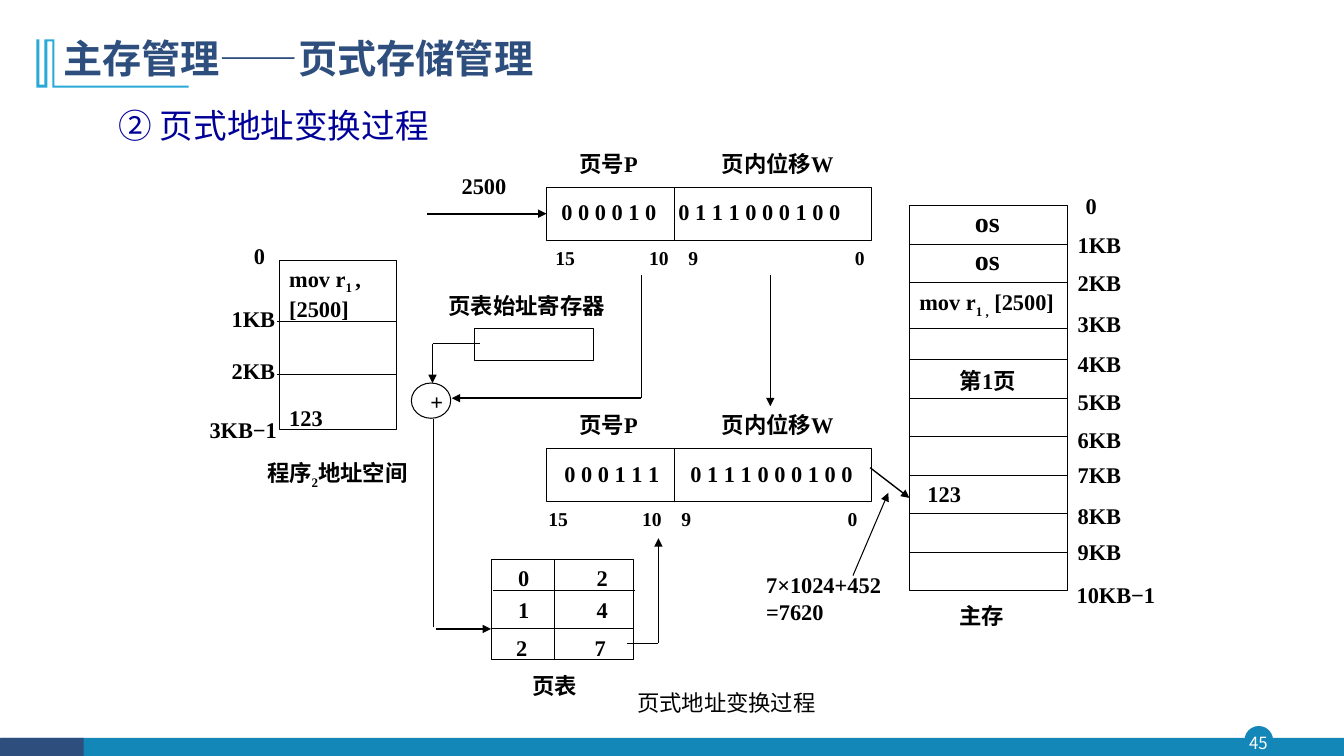
from pptx import Presentation
from pptx.dml.color import RGBColor
from pptx.enum.shapes import MSO_CONNECTOR, MSO_SHAPE
from pptx.enum.text import MSO_ANCHOR, PP_ALIGN
from pptx.oxml.ns import qn
from pptx.util import Inches, Pt
from lxml import etree

RECT, OVAL = MSO_SHAPE.RECTANGLE, MSO_SHAPE.OVAL
STRAIGHT = MSO_CONNECTOR.STRAIGHT
LEFT, CENTER = PP_ALIGN.LEFT, PP_ALIGN.CENTER
TOP, MIDDLE = MSO_ANCHOR.TOP, MSO_ANCHOR.MIDDLE
SANS, SERIF = "Noto Sans CJK SC", "Times New Roman"
BLACK, TEAL, NAVY = "000000", "1387B7", "2E4E7E"


def color(value):
    return RGBColor.from_string(value)


def add_box(s, x, y, w, h, kind=RECT, fill=None, line=BLACK, width=0.75):
    sp = s.shapes.add_shape(kind, Inches(x), Inches(y), Inches(w), Inches(h))
    sp.shadow.inherit = False
    if fill:
        sp.fill.solid()
        sp.fill.fore_color.rgb = color(fill)
    else:
        sp.fill.background()
    if line:
        sp.line.color.rgb = color(line)
        sp.line.width = Pt(width)
    else:
        sp.line.fill.background()
    return sp


def add_line(s, x1, y1, x2, y2, width=0.75, arrow=False):
    sp = s.shapes.add_connector(STRAIGHT, Inches(x1), Inches(y1), Inches(x2), Inches(y2))
    sp.line.color.rgb = color(BLACK)
    sp.line.width = Pt(width)
    if arrow:
        etree.SubElement(sp.line._get_or_add_ln(), qn("a:tailEnd"), type="triangle")
    etree.SubElement(sp._element.spPr, qn("a:effectLst"))


def add_text(s, x, y, w, h, text, size=16, font=SERIF, fill=BLACK, bold=True,
             align=LEFT, anchor=TOP, spacing=None, margin=None):
    """Lines split at newlines; the parts between underscores are subscripts."""
    tf = s.shapes.add_textbox(Inches(x), Inches(y), Inches(w), Inches(h)).text_frame
    tf.word_wrap = True
    tf.vertical_anchor = anchor
    if margin is not None:
        tf.margin_left = tf.margin_right = tf.margin_top = tf.margin_bottom = Inches(margin)
    for i, line in enumerate(text.split("\n")):
        p = tf.paragraphs[0] if i == 0 else tf.add_paragraph()
        p.alignment = align
        if spacing:
            p.line_spacing = spacing
        for j, part in enumerate(line.split("_")):
            r = p.add_run()
            r.text = part
            r.font.size, r.font.bold, r.font.name = Pt(size), bold, font
            r.font.color.rgb = color(fill)
            rPr = r._r.get_or_add_rPr()
            etree.SubElement(rPr, qn("a:ea"), typeface=SANS)
            if j % 2:
                rPr.set("baseline", "-25000")


def add_frame(s):
    # Footer band and page number
    add_box(s, 12.35, 7.21, 0.27, 0.27, OVAL, TEAL, TEAL, 1)
    add_box(s, 0.01, 7.32, 13.32, 0.19, fill=TEAL, line=None)
    add_box(s, 0, 7.32, 0.83, 0.19, fill=NAVY, line=None)
    add_text(s, 12.32, 7.21, 0.32, 0.31, "45", 12, SANS, "FFFFFF", False,
             CENTER, MIDDLE, margin=0)
    # Title ornament
    points = [(0.54, 0.39), (0.54, 0.85), (1.87, 0.85), (1.87, 0.87), (0.52, 0.87),
              (0.52, 0.41), (0.47, 0.41), (0.47, 0.87), (0.36, 0.87), (0.36, 0.39),
              (0.39, 0.39), (0.39, 0.84), (0.44, 0.84), (0.44, 0.39)]
    outline = [(Inches(x), Inches(y)) for x, y in points]
    fb = s.shapes.build_freeform(*outline[0])
    fb.add_line_segments(outline[1:], close=True)
    sp = fb.convert_to_shape()
    sp.shadow.inherit = False
    sp.fill.solid()
    sp.fill.fore_color.rgb = color("28A9D6")
    sp.line.fill.background()
    # Headings
    add_text(s, 0.53, 0.34, 10.49, 0.56, "主存管理——页式存储管理", 28, SANS, NAVY, spacing=0.9)
    add_text(s, 1.08, 0.91, 5.48, 0.58, "② 页式地址变换过程", 24, SANS, "000099", False,
             spacing=1.2)


def add_address(s, y, page, page_x, offset, offset_x, bits_y, scale_x):
    """Address register with its field names and bit positions."""
    add_text(s, 5.65, y - 0.42, 0.86, 0.37, "页号P")
    add_text(s, 7.06, y - 0.42, 1.41, 0.37, "页内位移W")
    add_box(s, 5.42, y, 3.22, 0.53)
    add_line(s, 6.69, y, 6.69, y + 0.53)
    add_text(s, page_x, bits_y, 1.19, 0.37, page)
    add_text(s, offset_x, bits_y, 1.92, 0.37, offset)
    for dx, bit in ((0, "15"), (0.93, "10"), (1.32, "9"), (2.97, "0")):
        add_text(s, scale_x + dx, y + 0.53, 0.5, 0.33, bit, 14)


def add_program(s):
    add_box(s, 2.77, 2.58, 1.16, 1.68)
    add_text(s, 2.77, 2.58, 1.16, 0.7, "mov r_1 _,\n[2500]")
    add_text(s, 2.77, 3.96, 1.16, 0.34, "123")
    for y in (3.19, 3.72):
        add_line(s, 2.75, y, 3.93, y)
    for x, y, label in ((2.42, 2.35, "0"), (2.2, 2.98, "1KB"),
                        (2.2, 3.49, "2KB"), (1.98, 4.08, "3KB−1")):
        add_text(s, x, y, 0.9, 0.33, label)
    add_text(s, 2.55, 4.51, 1.69, 0.68, "程序_2_地址空间")


def add_page_table(s):
    add_box(s, 4.87, 5.55, 1.41, 0.99)
    add_line(s, 4.89, 5.86, 6.3, 5.86)
    add_line(s, 4.87, 6.24, 6.28, 6.24)
    add_line(s, 5.5, 5.55, 5.5, 6.54)
    rows = ((5.04, 5.55, "0", "2"), (5.04, 5.86, "1", "4"), (5.02, 6.24, "2", "7"))
    for x, y, page, block in rows:
        add_text(s, x, y, 0.34, 0.29, page)
        add_text(s, x + 0.78, y, 0.34, 0.29, block)
    add_text(s, 5.18, 6.62, 0.71, 0.36, "页表")


def add_memory(s):
    left, top, width, row = 9.02, 2.04, 1.57, 0.382
    add_box(s, left, top, width, 3.82)
    for i in range(1, 10):
        y = 3.26 if i == 3 else top + i * row
        add_line(s, left, y, left + width, y)
    add_text(s, 10.67, 1.86, 0.33, 0.29, "0")
    tops = (2.24, 2.62, 3.03, 3.42, 3.8, 4.18, 4.53, 4.93, 5.29)
    for i, y in enumerate(tops, 1):
        add_text(s, 10.59, y, 0.7, 0.33, f"{i}KB")
    add_text(s, 10.58, 5.72, 1.05, 0.34, "10KB−1")
    for y in (top, top + row):
        add_text(s, 9.57, y, 0.63, 0.29, "os", 20, spacing=0.8)
    add_text(s, left, 2.81, 1.72, 0.46, "mov r_1 ,_ [2500]")
    add_text(s, 9.42, 3.59, 1.02, 0.44, "第1页")
    add_text(s, 9.1, 4.71, 0.71, 0.36, "123")
    add_text(s, 9.42, 5.92, 0.94, 0.37, "主存")


def add_flow(s):
    # Table base register and adder
    add_text(s, 4.35, 2.85, 1.82, 0.37, "页表始址寄存器")
    add_box(s, 4.71, 3.26, 1.18, 0.32)
    add_box(s, 4.08, 3.8, 0.39, 0.35, OVAL)
    add_text(s, 4.17, 3.8, 0.34, 0.26, "+")
    # Plain segments
    for ends in ((6.36, 2.73, 6.36, 3.95), (4.29, 3.41, 4.76, 3.41),
                 (4.3, 4.16, 4.3, 6.22), (6.22, 6.38, 6.53, 6.38)):
        add_line(s, *ends)
    # Arrows, with line width last
    for arrow in ((4.24, 2.12, 5.42, 2.12, 1.5), (6.36, 3.95, 4.48, 3.95, 1),
                  (4.29, 3.41, 4.29, 3.8, 1), (4.32, 6.24, 4.87, 6.24, 1),
                  (6.53, 6.38, 6.53, 5.34, 1), (8.63, 4.64, 9.02, 4.94, 1),
                  (7.64, 2.73, 7.64, 4.03, 0.75), (8.46, 5.71, 8.81, 4.89, 0.75)):
        add_line(s, *arrow, arrow=True)
    add_text(s, 4.48, 1.66, 0.79, 0.37, "2500")
    add_text(s, 7.5, 5.62, 1.52, 0.64, "7×1024+452\n=7620")


def main():
    prs = Presentation()
    prs.slide_width, prs.slide_height = Inches(13.33), Inches(7.5)
    s = prs.slides.add_slide(prs.slide_layouts[6])
    add_frame(s)
    add_program(s)
    add_address(s, 1.86, "0 0 0 0 1 0", 5.47, "0 1 1 1 0 0 0 1 0 0", 6.63, 1.92, 5.41)
    add_address(s, 4.45, "0 0 0 1 1 1", 5.5, "0 1 1 1 0 0 0 1 0 0", 6.75, 4.52, 5.34)
    add_page_table(s)
    add_memory(s)
    add_flow(s)
    # Caption
    add_text(s, 6.22, 6.79, 2.49, 0.37, "页式地址变换过程", bold=False)
    prs.save("out.pptx")


if __name__ == "__main__":
    main()
